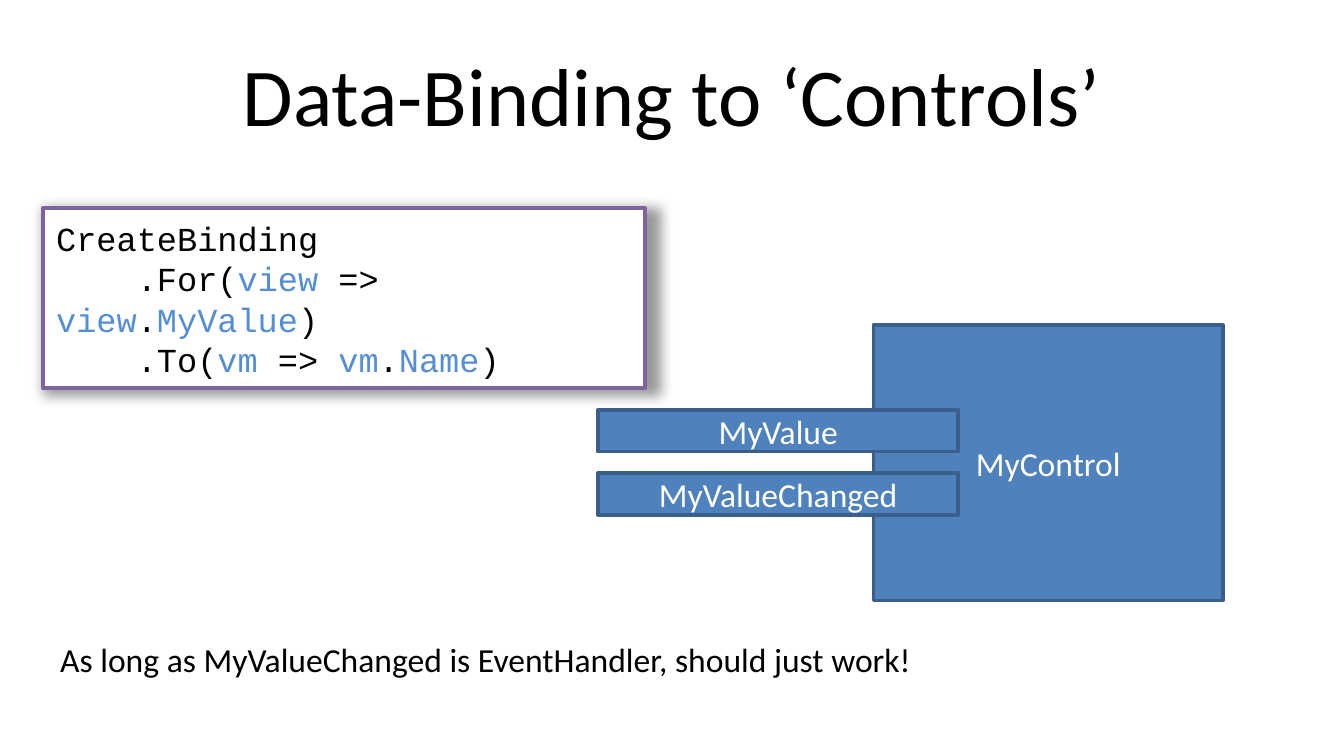
import pptx
import pptx.dml.color
import pptx.enum.shapes
import pptx.enum.text
import pptx.oxml
import pptx.oxml.ns
import pptx.util
from pptx.util import Pt

ALIGN = pptx.enum.text.PP_ALIGN
MIDDLE = pptx.enum.text.MSO_ANCHOR.MIDDLE


def color(hex_string):
    return pptx.dml.color.RGBColor.from_string(hex_string)


def add_box(shapes, left, top, width, height, fill, line):
    shape = shapes.add_shape(pptx.enum.shapes.MSO_SHAPE.RECTANGLE,
                             Pt(left), Pt(top), Pt(width), Pt(height))
    shape.shadow.inherit = False
    shape.fill.solid()
    shape.fill.fore_color.rgb = color(fill)
    shape.line.color.rgb = color(line)
    shape.line.width = Pt(2)
    shape.text_frame.word_wrap = True
    shape.text_frame.vertical_anchor = MIDDLE
    return shape


presentation = pptx.Presentation()
presentation.slide_width = Pt(720)
presentation.slide_height = Pt(405)
slide = presentation.slides.add_slide(presentation.slide_layouts[6])

# Title and closing remark
texts = [
    ("Data-Binding to ‘Controls’", 36, 16.5, 648, 67.5, 44, ALIGN.CENTER, True),
    ("As long as MyValueChanged is EventHandler, should just work!",
     25.2, 338.4, 476, 29, 18, ALIGN.LEFT, False),
]
for text, left, top, width, height, size, alignment, wrap in texts:
    text_box = slide.shapes.add_textbox(Pt(left), Pt(top), Pt(width), Pt(height))
    text_box.text_frame.word_wrap = wrap
    text_box.text_frame.vertical_anchor = MIDDLE
    text_box.text_frame.text = text
    paragraph = text_box.text_frame.paragraphs[0]
    paragraph.alignment = alignment
    font = paragraph.runs[0].font
    font.name = "Calibri"
    font.size = Pt(size)
    font.color.rgb = color("000000")

# Control with its two members grouped on top
control = (slide.shapes, "MyControl", 468, 174.2, 187.2, 147.6)
members = slide.shapes.add_group_shape().shapes
boxes = [control]
for index, name in enumerate(["MyValue", "MyValueChanged"]):
    boxes.append((members, name, 320.4, 219.6 + 33.8 * index, 193, 22.4))
for shapes, name, left, top, width, height in boxes:
    shape = add_box(shapes, left, top, width, height, "4F81BD", "3A5F8C")
    shape.text_frame.text = name
    paragraph = shape.text_frame.paragraphs[0]
    paragraph.alignment = ALIGN.CENTER
    font = paragraph.runs[0].font
    font.name = "Calibri"
    font.size = Pt(18)
    font.color.rgb = color("FFFFFF")

# The control lies behind its members
group_element = slide.shapes[2]._element
group_element.addprevious(slide.shapes[3]._element)

# Code box with a soft shadow
code_box = add_box(slide.shapes, 23, 111.6, 322.6, 96.5, "FFFFFF", "8064A2")
effects = code_box._element.spPr.find(pptx.oxml.ns.qn("a:effectLst"))
effects.append(pptx.oxml.parse_xml(
    f'<a:outerShdw {pptx.oxml.ns.nsdecls("a")} blurRad="{Pt(7)}" dist="{Pt(1)}" '
    'dir="2700000" sx="102000" sy="102000" algn="tl" rotWithShape="0">'
    '<a:srgbClr val="000000"><a:alpha val="40000"/></a:srgbClr></a:outerShdw>'))

# Code lines: every second piece is a highlighted identifier
code_lines = [
    ["CreateBinding"],
    ["    .For(", "view", " => ", "view", ".", "MyValue", ")"],
    ["    .To(", "vm", " => ", "vm", ".", "Name", ")"],
]
code_frame = code_box.text_frame
for line_index, pieces in enumerate(code_lines):
    paragraph = code_frame.add_paragraph() if line_index else code_frame.paragraphs[0]
    paragraph.alignment = ALIGN.LEFT
    paragraph.line_spacing = Pt(21.7)
    for piece_index, piece in enumerate(pieces):
        run = paragraph.add_run()
        run.text = piece
        run.font.name = "Courier New"
        run.font.size = Pt(18)
        run.font.color.rgb = color("558ED5" if piece_index % 2 else "000000")

presentation.save("out.pptx")
